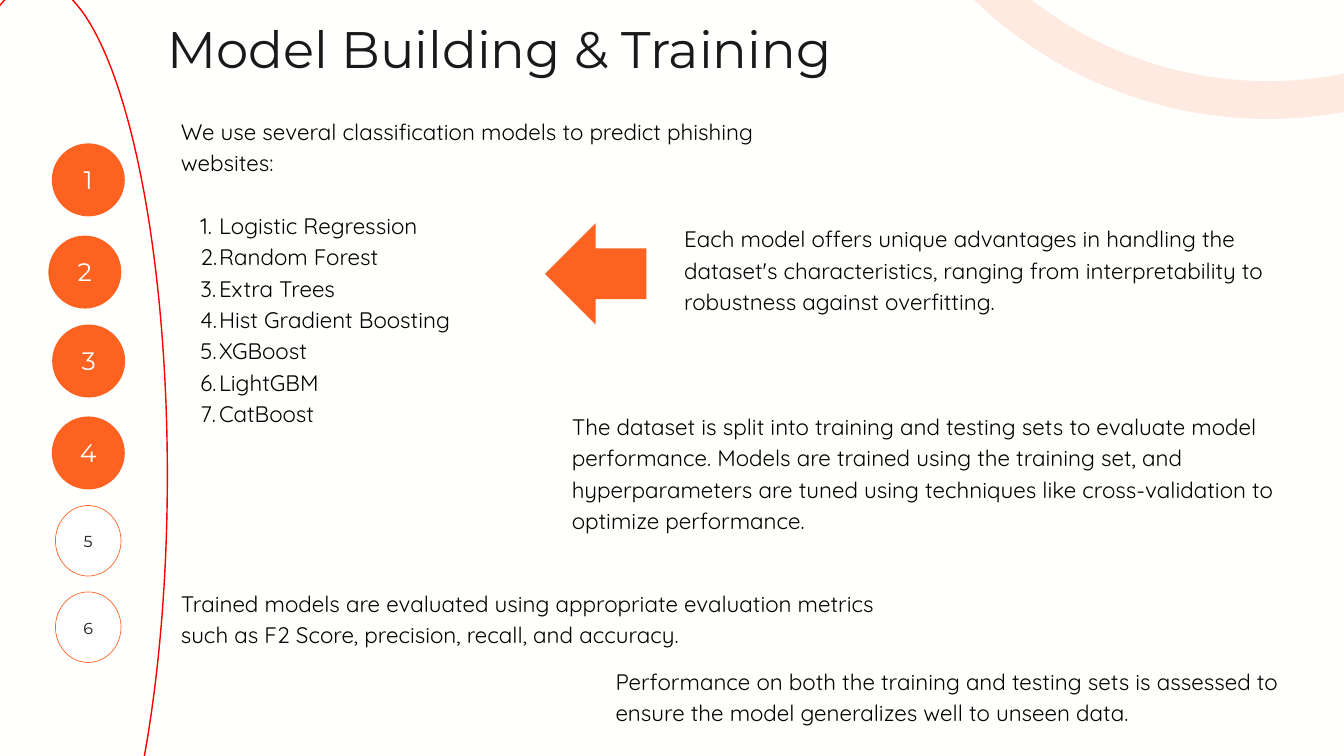
from dataclasses import dataclass

from lxml import etree
from pptx import Presentation
from pptx.dml.color import RGBColor
from pptx.enum.shapes import MSO_SHAPE
from pptx.enum.text import MSO_ANCHOR, PP_ALIGN
from pptx.oxml.ns import qn
from pptx.util import Pt

OVAL, ARROW = MSO_SHAPE.OVAL, MSO_SHAPE.LEFT_ARROW
LEFT, CENTER, JUSTIFY = PP_ALIGN.LEFT, PP_ALIGN.CENTER, PP_ALIGN.JUSTIFY
TOP, MIDDLE = MSO_ANCHOR.TOP, MSO_ANCHOR.MIDDLE


@dataclass(frozen=True)
class Theme:
    paper: str = "FFFFFE"
    white: str = "FFFEFE"
    orange: str = "FD6220"
    red: str = "FF0000"
    ink: str = "191919"
    black: str = "000000"
    head: str = "Montserrat"
    body: str = "Quicksand"
    title: float = 55
    step: float = 27
    next: float = 17
    text: float = 24
    lead: float = 1.4  # line pitch as a share of the type size


@dataclass(frozen=True)
class Box:
    x: float
    y: float
    w: float
    h: float


@dataclass(frozen=True)
class Step:
    x: float
    y: float
    done: bool = True


@dataclass(frozen=True)
class Note:
    box: Box
    text: str


T = Theme()
STEPS = [Step(55.5, 153.6), Step(51.8, 252.4), Step(55.9, 347.7),
         Step(55.5, 446.2), Step(59.4, 541.6, False), Step(59.4, 634.2, False)]
MODELS = ["Logistic Regression", "Random Forest", "Extra Trees",
          "Hist Gradient Boosting", "XGBoost", "LightGBM", "CatBoost"]
INTRO = Note(Box(193.7, 121.7, 639.4, 365.8),
             "We use several classification models to predict phishing websites:")
NOTES = [
    Note(Box(733, 236.9, 669.6, 101.5),
         "Each model offers unique advantages in handling the dataset's "
         "characteristics, ranging from interpretability to robustness "
         "against overfitting."),
    Note(Box(612.7, 437.8, 768.2, 134.6),
         "The dataset is split into training and testing sets to evaluate "
         "model performance. Models are trained using the training set, and "
         "hyperparameters are tuned using techniques like cross-validation "
         "to optimize performance."),
    Note(Box(193.7, 627.1, 780.5, 68.4),
         "Trained models are evaluated using appropriate evaluation metrics "
         "such as F2 Score, precision, recall, and accuracy."),
    Note(Box(659.5, 710.6, 780.5, 68.4),
         "Performance on both the training and testing sets is assessed to "
         "ensure the model generalizes well to unseen data."),
]


def rgb(code: str) -> RGBColor:
    return RGBColor.from_string(code)


def place(box: Box) -> list:
    return [Pt(v) for v in (box.x, box.y, box.w, box.h)]


def write(par, text: str, *, size=T.text, font=T.body, color=T.black,
          align=LEFT, lead=T.lead, before=0, number=False) -> None:
    par.alignment = align
    par.line_spacing = Pt(round(size * lead, 1))
    if before:
        par.space_before = Pt(before)
    if number:
        props = par._p.get_or_add_pPr()
        props.set("marL", str(Pt(41)))
        props.set("indent", str(Pt(-20)))
        etree.SubElement(props, qn("a:buAutoNum"), type="arabicPeriod")
    run = par.add_run()
    run.text = text
    run.font.size, run.font.name = Pt(size), font
    run.font.color.rgb = rgb(color)


def setup(frame, anchor=TOP, drop: float = 0):
    frame.word_wrap = True
    frame.vertical_anchor = anchor
    frame.margin_left = frame.margin_right = frame.margin_top = 0
    frame.margin_bottom = Pt(drop)
    return frame


def add_text(slide, box: Box):
    return setup(slide.shapes.add_textbox(*place(box)).text_frame)


def add_form(slide, kind, box: Box, fill: str = "", line: str = "",
             width: float = 0, alpha: int = 100):
    form = slide.shapes.add_shape(kind, *place(box))
    form.shadow.inherit = False
    if fill:
        form.fill.solid()
        form.fill.fore_color.rgb = rgb(fill)
    else:
        form.fill.background()
    if line:
        form.line.color.rgb = rgb(line)
        form.line.width = Pt(width)
    else:
        form.line.fill.background()
    if alpha < 100:
        tint = form._element.spPr.find(".//" + qn("a:ln")).find(".//" + qn("a:srgbClr"))
        etree.SubElement(tint, qn("a:alpha"), val=str(alpha * 1000))
    return form


def add_step(slide, step: Step, label: str) -> None:
    if step.done:
        form = add_form(slide, OVAL, Box(step.x, step.y, 78.2, 78.2), T.orange)
        size, color, drop = T.step, T.white, 6
    else:
        form = add_form(slide, OVAL, Box(step.x, step.y, 70.3, 75.6),
                        T.white, T.orange, 0.75)
        size, color, drop = T.next, T.ink, 2
    frame = setup(form.text_frame, MIDDLE, drop)
    write(frame.paragraphs[0], label, size=size, font=T.head, color=color,
          align=CENTER)


def main() -> None:
    deck = Presentation()
    deck.slide_width, deck.slide_height = Pt(1440), Pt(810)
    slide = deck.slides.add_slide(deck.slide_layouts[6])
    slide.background.fill.solid()
    slide.background.fill.fore_color.rgb = rgb(T.paper)

    # Title
    frame = add_text(slide, Box(179.3, 7.2, 1082, 73.4))
    write(frame.paragraphs[0], "Model Building & Training", size=T.title,
          font=T.head, color=T.ink, align=JUSTIFY)

    # Corner ring and side curve
    add_form(slide, OVAL, Box(926, -758.2, 865.4, 865.4),
             line=T.orange, width=40.5, alpha=12)
    add_form(slide, OVAL, Box(-96.5, -18.7, 275.8, 1055.5),
             line=T.red, width=1.5)

    # Progress steps
    for rank, step in enumerate(STEPS, 1):
        add_step(slide, step, str(rank))

    # Model list, with an open line above it
    frame = add_text(slide, INTRO.box)
    write(frame.paragraphs[0], INTRO.text)
    for rank, model in enumerate(MODELS):
        write(frame.add_paragraph(), model, number=True,
              before=0 if rank else 33.6)

    # Arrow and notes
    add_form(slide, ARROW, Box(583.9, 239, 108.7, 108.7), T.orange)
    for note in NOTES:
        write(add_text(slide, note.box).paragraphs[0], note.text)

    deck.save("out.pptx")


if __name__ == "__main__":
    main()
